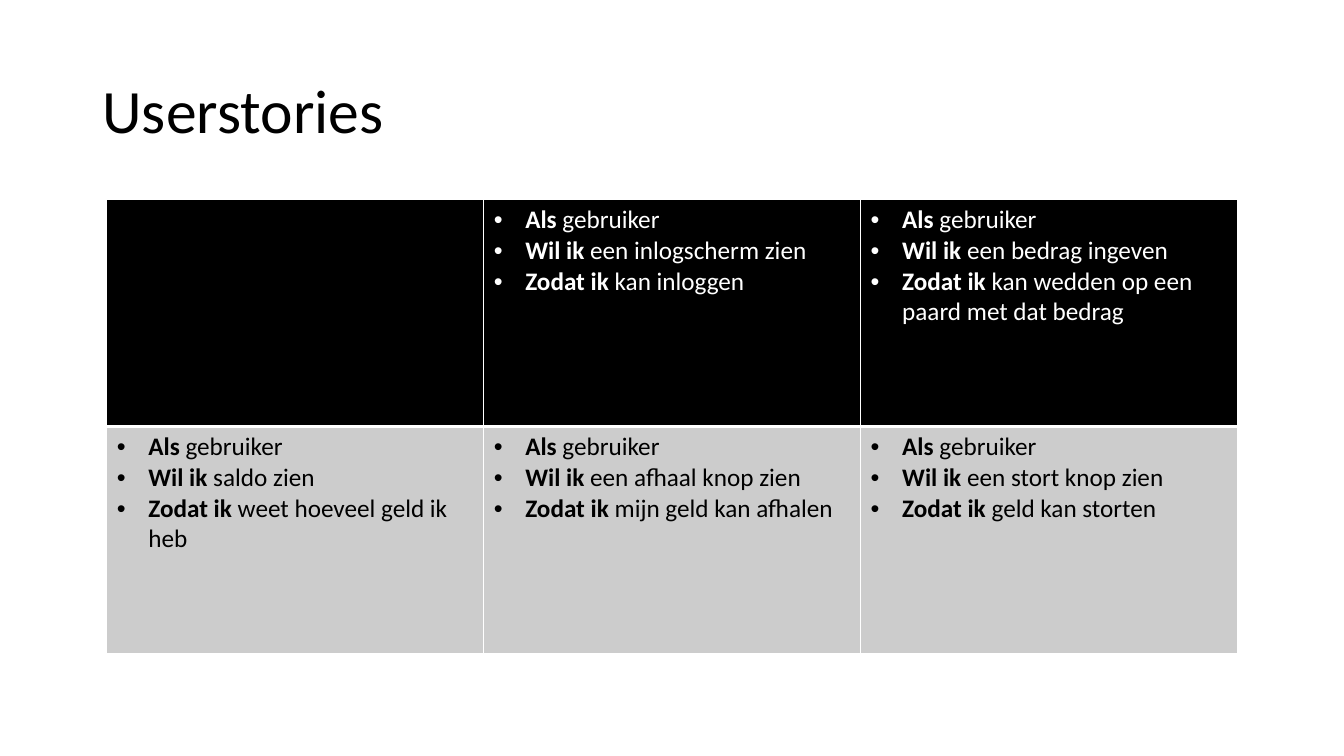
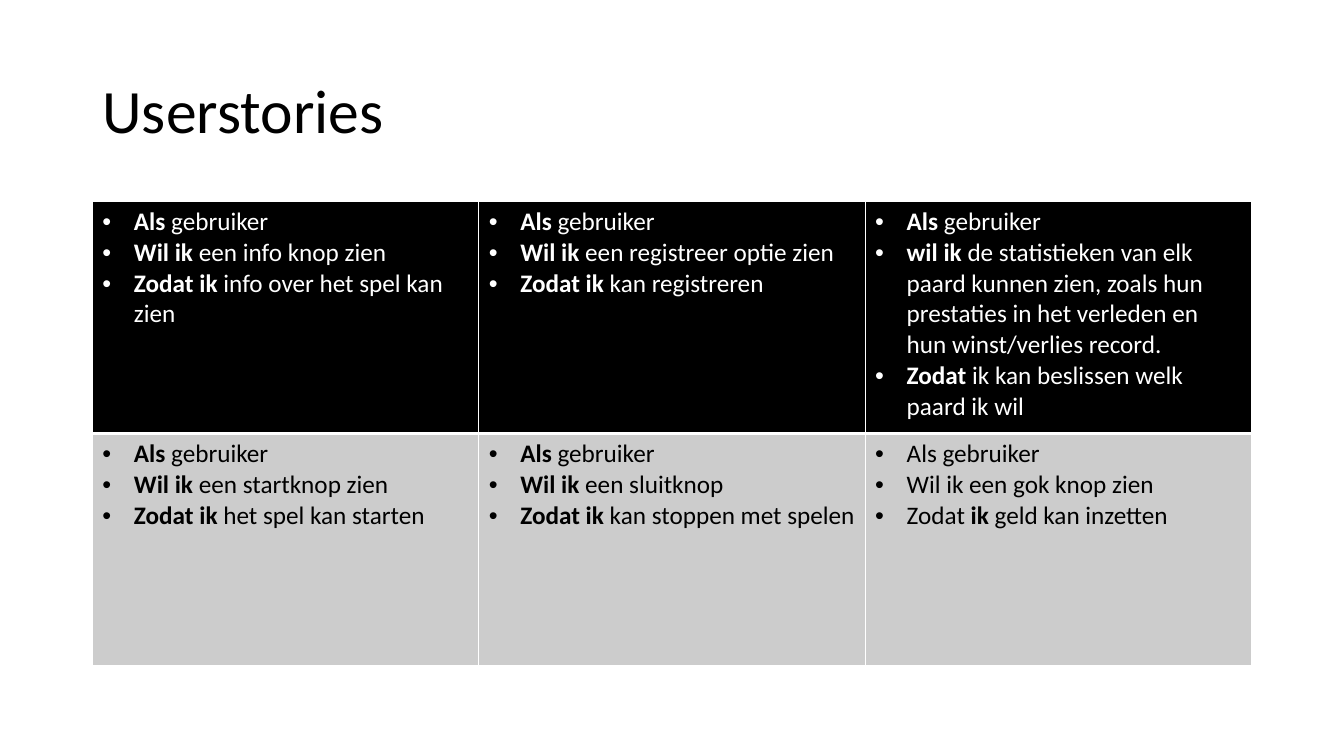
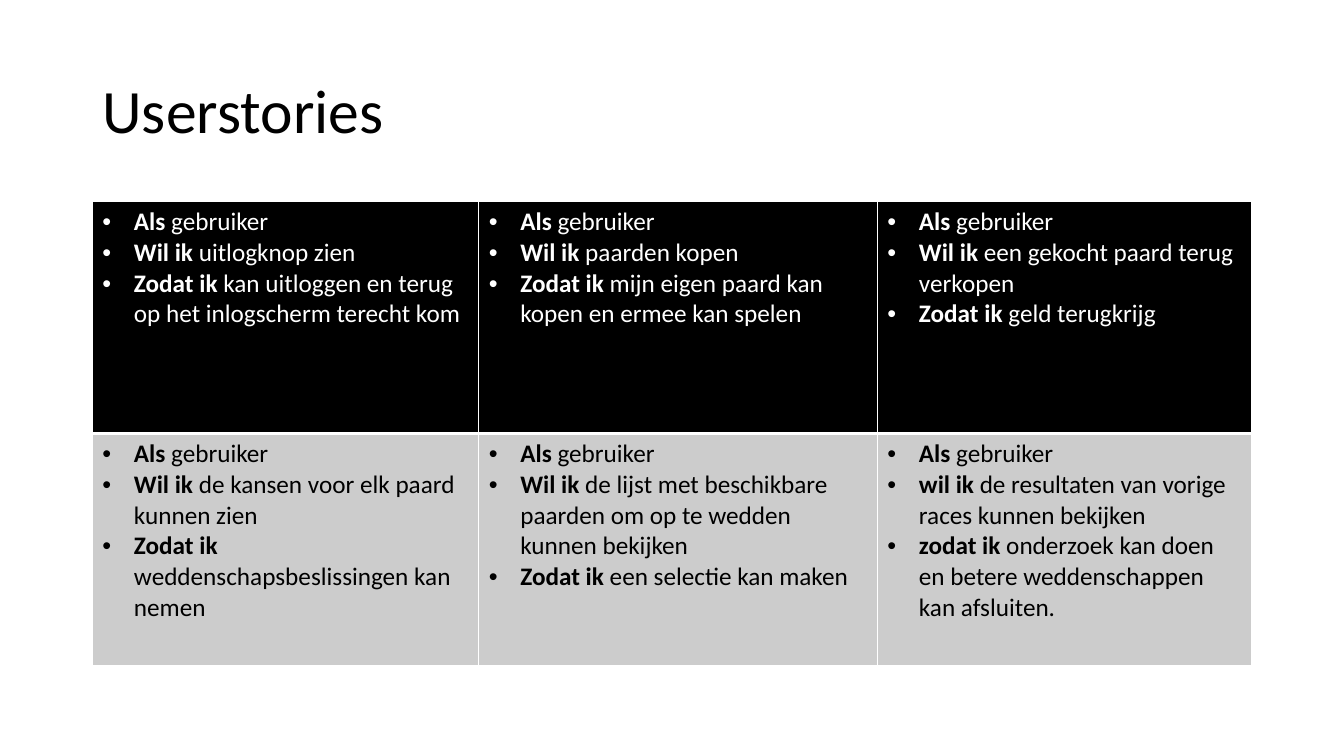
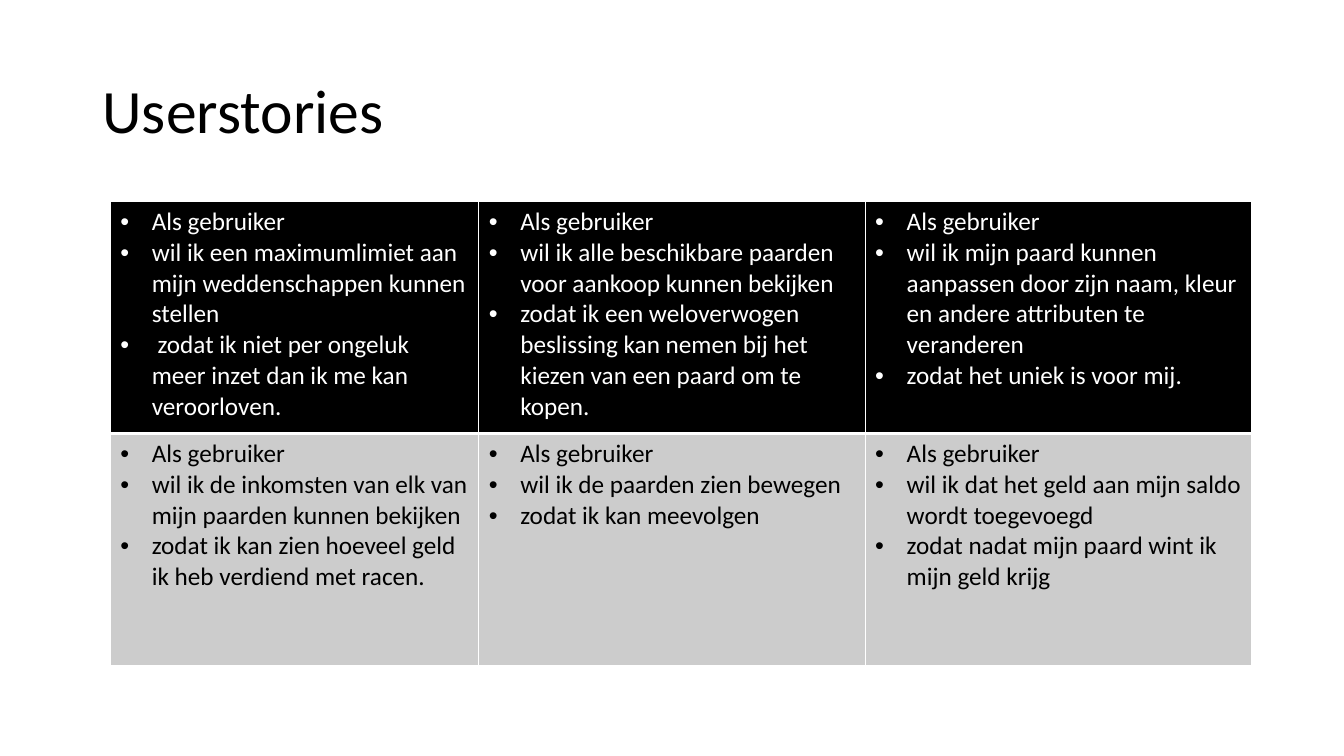
from lxml.etree import SubElement
from pptx import Presentation
from pptx.dml.color import RGBColor
from pptx.enum.text import MSO_ANCHOR, MSO_AUTO_SIZE, PP_ALIGN
from pptx.oxml import parse_xml
from pptx.oxml.ns import nsdecls, qn
from pptx.util import Pt

BLACK = RGBColor(0x00, 0x00, 0x00)
WHITE = RGBColor(0xFF, 0xFF, 0xFF)
GREY = RGBColor(0xCC, 0xCC, 0xCC)
FONT = "Calibri"
TITLE_BOX = (66, 28.8, 828, 104.4)
INDENT = Pt(22.5)
ROW_STYLES = [
    (BLACK, WHITE, {"L": 1, "R": 1, "T": 1, "B": 3}),
    (GREY, BLACK, {"L": 1, "R": 1, "T": 3, "B": 1}),
]

USER = "*Als* gebruiker"
PLAIN_USER = "Als gebruiker"

SLIDES = [
    ((76.25, 142.5), (269.25, 269.25, 269.25), 162.25, [
        [(),
         (USER, "*Wil ik* een inlogscherm zien", "*Zodat ik* kan inloggen"),
         (USER, "*Wil ik* een bedrag ingeven",
          "*Zodat ik* kan wedden op een paard met dat bedrag")],
        [(USER, "*Wil ik* saldo zien", "*Zodat ik* weet hoeveel geld ik heb"),
         (USER, "*Wil ik* een afhaal knop zien", "*Zodat ik* mijn geld kan afhalen"),
         (USER, "*Wil ik* een stort knop zien", "*Zodat ik* geld kan storten")],
    ]),
    ((66, 144), (276, 276, 276), 165.6, [
        [(USER, "*Wil ik* een info knop zien", "*Zodat ik* info over het spel kan zien"),
         (USER, "*Wil ik* een registreer optie zien", "*Zodat ik* kan registreren"),
         (USER,
          "*wil ik* de statistieken van elk paard kunnen zien, zoals hun prestaties "
          "in het verleden en hun winst/verlies record.",
          "*Zodat* ik kan beslissen welk paard ik wil")],
        [(USER, "*Wil ik* een startknop zien", "*Zodat ik* het spel kan starten"),
         (USER, "*Wil ik* een sluitknop", "*Zodat ik* kan stoppen met spelen"),
         (PLAIN_USER, "Wil ik een gok knop zien", "Zodat *ik* geld kan inzetten")],
    ]),
    ((66, 144), (276, 284.75, 267.25), 165.6, [
        [(USER, "*Wil ik* uitlogknop zien",
          "*Zodat ik* kan uitloggen en terug op het inlogscherm terecht kom"),
         (USER, "*Wil ik* paarden kopen",
          "*Zodat ik* mijn eigen paard kan kopen en ermee kan spelen"),
         (USER, "*Wil ik* een gekocht paard terug verkopen",
          "*Zodat ik* geld terugkrijg")],
        [(USER, "*Wil ik* de kansen voor elk paard kunnen zien",
          "*Zodat ik* weddenschapsbeslissingen kan nemen"),
         (USER,
          "*Wil ik* de lijst met beschikbare paarden om op te wedden kunnen bekijken",
          "*Zodat ik* een selectie kan maken"),
         (USER, "*wil ik* de resultaten van vorige races kunnen bekijken",
          "*zodat ik* onderzoek kan doen en betere weddenschappen kan afsluiten.")],
    ]),
    ((78.75, 144), (263.25, 276, 276), 165.6, [
        [(PLAIN_USER,
          "wil ik een maximumlimiet aan mijn weddenschappen kunnen stellen",
          " zodat ik niet per ongeluk meer inzet dan ik me kan veroorloven."),
         (PLAIN_USER, "wil ik alle beschikbare paarden voor aankoop kunnen bekijken",
          "zodat ik een weloverwogen beslissing kan nemen bij het kiezen van een "
          "paard om te kopen."),
         (PLAIN_USER,
          "wil ik mijn paard kunnen aanpassen door zijn naam, kleur en andere "
          "attributen te veranderen",
          "zodat het uniek is voor mij.")],
        [(PLAIN_USER, "wil ik de inkomsten van elk van mijn paarden kunnen bekijken",
          "zodat ik kan zien hoeveel geld ik heb verdiend met racen."),
         (PLAIN_USER, "wil ik de paarden zien bewegen", "zodat ik kan meevolgen"),
         (PLAIN_USER, "wil ik dat het geld aan mijn saldo wordt toegevoegd",
          "zodat nadat mijn paard wint ik mijn geld krijg")],
    ]),
]


def add_run(p, text, size, color, bold=False):
    """Add one formatted run to a paragraph."""
    r = p.add_run()
    r.text = text
    r.font.name = FONT
    r.font.size = Pt(size)
    r.font.color.rgb = color
    r.font.bold = bold


def add_title(s, box, text):
    """Place the title placeholder in its box."""
    sp = s.shapes.title
    sp.left, sp.top, sp.width, sp.height = map(Pt, box)
    tf = sp.text_frame
    tf.auto_size = MSO_AUTO_SIZE.NONE
    tf.vertical_anchor = MSO_ANCHOR.MIDDLE
    p = tf.paragraphs[0]
    p.alignment = PP_ALIGN.LEFT
    p.line_spacing = 0.9
    add_run(p, text, 44, BLACK)


def set_bullet(p):
    """Give a paragraph a hanging round bullet."""
    pPr = p._p.get_or_add_pPr()
    pPr.set("marL", str(INDENT))
    pPr.set("indent", str(-INDENT))
    SubElement(pPr, qn("a:buFont"), typeface="Arial")
    SubElement(pPr, qn("a:buChar"), char="•")


def set_borders(cell, widths):
    """Draw the white cell borders, keyed by side, ahead of the fill."""
    tcPr = cell._tc.get_or_add_tcPr()
    for i, (side, width) in enumerate(widths.items()):
        tcPr.insert(i, parse_xml(
            f'<a:ln{side} {nsdecls("a")} w="{Pt(width)}"><a:solidFill>'
            f'<a:srgbClr val="{WHITE}"/></a:solidFill></a:ln{side}>'))


def fill_cell(cell, lines, fill, color, borders):
    """Write a story as bullets, with the text between asterisks in bold."""
    cell.fill.solid()
    cell.fill.fore_color.rgb = fill
    set_borders(cell, borders)
    tf = cell.text_frame
    for i, line in enumerate(lines):
        p = tf.add_paragraph() if i else tf.paragraphs[0]
        set_bullet(p)
        for j, part in enumerate(line.split("*")):
            if part:
                add_run(p, part, 18, color, j % 2 == 1)


def add_stories(s, origin, widths, row_height, stories):
    """Place the table of user stories at its origin."""
    size = (sum(widths), row_height * len(stories))
    table = s.shapes.add_table(len(stories), len(widths),
                               *map(Pt, origin + size)).table
    table.horz_banding = False
    for col, width in zip(table.columns, widths):
        col.width = Pt(width)
    for row, row_stories, style in zip(table.rows, stories, ROW_STYLES):
        row.height = Pt(row_height)
        for cell, lines in zip(row.cells, row_stories):
            fill_cell(cell, lines, *style)


def main():
    """Build and save the deck."""
    prs = Presentation()
    prs.slide_width, prs.slide_height = Pt(960), Pt(540)
    for origin, widths, row_height, stories in SLIDES:
        s = prs.slides.add_slide(prs.slide_layouts[5])
        add_title(s, TITLE_BOX, "Userstories")
        add_stories(s, origin, widths, row_height, stories)
    prs.save("out.pptx")


if __name__ == "__main__":
    main()
